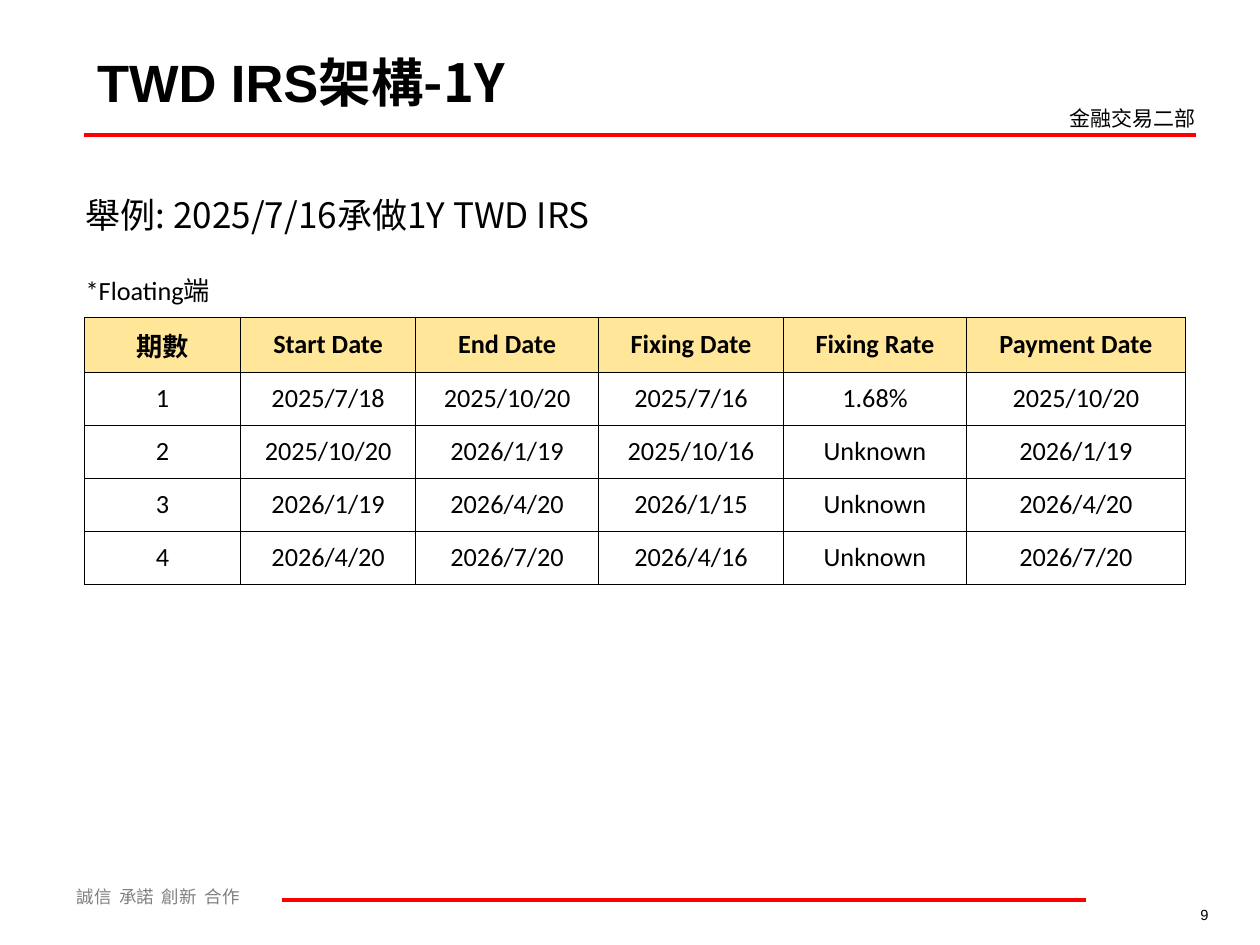
from lxml import etree
from pptx import Presentation
from pptx.dml.color import RGBColor
from pptx.enum.shapes import MSO_CONNECTOR as Link
from pptx.enum.text import MSO_ANCHOR as Anchor, PP_ALIGN as Align
from pptx.oxml.ns import qn
from pptx.util import Inches, Pt

BLACK, GREY, RED, SAND = "000000", "808080", "FF0000", "FFE699"
SANS, TRAD = "Noto Sans CJK SC", "Noto Sans CJK TC"


def color(code):
    return RGBColor.from_string(code)


class Deck:
    """Holds the style and the current slide."""

    def __init__(self, wide, high):
        self.prs = Presentation()
        self.prs.slide_width, self.prs.slide_height = Inches(wide), Inches(high)
        self.slide = self.prs.slides.add_slide(self.prs.slide_layouts[5])

    def run(self, para, text, size, font=SANS, code=BLACK, bold=False, east=SANS, gap=0):
        run = para.add_run()
        run.text = text
        run.font.size, run.font.name, run.font.bold = Pt(size), font, bold
        run.font.color.rgb = color(code)
        props = run.font._element
        etree.SubElement(props, qn("a:ea"), typeface=east)
        if gap:
            props.set("spc", str(round(gap * 100)))

    def title(self, box, parts, size):
        shape = self.slide.shapes.title
        shape.left, shape.top, shape.width, shape.height = map(Inches, box)
        shape.text_frame.vertical_anchor = Anchor.MIDDLE
        para = shape.text_frame.paragraphs[0]
        para.alignment = Align.LEFT
        for text, font in parts:
            self.run(para, text, size, font, bold=True)

    def text(self, box, align=Align.LEFT):
        frame = self.slide.shapes.add_textbox(*map(Inches, box)).text_frame
        frame.word_wrap = True
        para = frame.paragraphs[0]
        para.alignment = align
        return para

    def rule(self, left, right, top):
        line = self.slide.shapes.add_connector(
            Link.STRAIGHT, Inches(left), Inches(top), Inches(right), Inches(top))
        line.line.color.rgb = color(RED)
        line.line.width = Pt(2.25)
        etree.SubElement(line._element.spPr, qn("a:effectLst"))

    def edges(self, cell, drawn):
        props = cell._tc.get_or_add_tcPr()
        for side in "LRTB":
            edge = etree.SubElement(props, qn(f"a:ln{side}"), w=str(Pt(0.45)))
            if side in drawn:
                fill = etree.SubElement(edge, qn("a:solidFill"))
                etree.SubElement(fill, qn("a:srgbClr"), val=BLACK)
            else:
                etree.SubElement(edge, qn("a:noFill"))

    def table(self, left, top, cols, rows):
        frame = self.slide.shapes.add_table(
            len(rows), len(cols), Inches(left), Inches(top),
            Inches(sum(cols)), Inches(sum(rows)))
        grid = frame.table
        grid.first_row = grid.horz_banding = False
        for col, wide in zip(grid.columns, cols):
            col.width = Inches(wide)
        for row, high in zip(grid.rows, rows):
            row.height = Inches(high)
        return grid

    def cell(self, cell, text, size=15, font="Calibri", align=Align.CENTER,
             bold=False, fill=None, drawn="LRTB"):
        self.edges(cell, drawn)
        cell.fill.background()
        if fill:
            cell.fill.solid()
            cell.fill.fore_color.rgb = color(fill)
        cell.margin_left = cell.margin_right = Inches(0.01)
        cell.vertical_anchor = Anchor.MIDDLE
        para = cell.text_frame.paragraphs[0]
        para.alignment = align
        if text:
            self.run(para, text, size, font, bold=bold, east=TRAD)


def main():
    deck = Deck(10, 7.5)

    # Frame of the page
    deck.rule(0.67, 9.49, 1.07)
    deck.rule(2.24, 8.62, 7.14)
    deck.run(deck.text((8.39, 0.79, 1.26, 0.3)), "金融交易二部", 12)
    deck.run(deck.text((8.31, 7.14, 1.38, 0.24), Align.RIGHT), "9", 8.4, "Arial")
    motto = deck.text((0.51, 6.98, 2.52, 0.27))
    for place, word in enumerate(["誠信", "承諾", "創新", "合作"]):
        if place:
            deck.run(motto, " ", 10, code=GREY, gap=2.2)
        deck.run(motto, word, 10, code=GREY)

    # Title
    deck.title((0.67, 0.3, 7.32, 0.69), [("TWD IRS", "Arial"), ("架構-1Y", SANS)], 30)

    # Table: two open caption rows, then the schedule
    cols = [1.24, 1.39, 1.45, 1.47, 1.45, 1.74]
    grid = deck.table(0.67, 1.31, cols, [0.68] + [0.44] * 2 + [0.42] * 4)
    grid.cell(0, 0).merge(grid.cell(0, 2))
    captions = [("舉例: 2025/7/16承做1Y TWD IRS", 20, TRAD, ""),
                ("*Floating端", 15, "Calibri", "B")]
    for row, (text, size, font, drawn) in enumerate(captions):
        for col in range(len(cols)):
            deck.cell(grid.cell(row, col), "" if col else text, size, font,
                      Align.LEFT, drawn=drawn)

    schedule = [
        ("期數", "Start Date", "End Date", "Fixing Date", "Fixing Rate", "Payment Date"),
        ("1", "2025/7/18", "2025/10/20", "2025/7/16", "1.68%", "2025/10/20"),
        ("2", "2025/10/20", "2026/1/19", "2025/10/16", "Unknown", "2026/1/19"),
        ("3", "2026/1/19", "2026/4/20", "2026/1/15", "Unknown", "2026/4/20"),
        ("4", "2026/4/20", "2026/7/20", "2026/4/16", "Unknown", "2026/7/20"),
    ]
    for row, words in enumerate(schedule):
        head = row == 0
        for col, word in enumerate(words):
            deck.cell(grid.cell(row + len(captions), col), word,
                      bold=head, fill=SAND if head else None)

    deck.prs.save("out.pptx")


if __name__ == "__main__":
    main()
